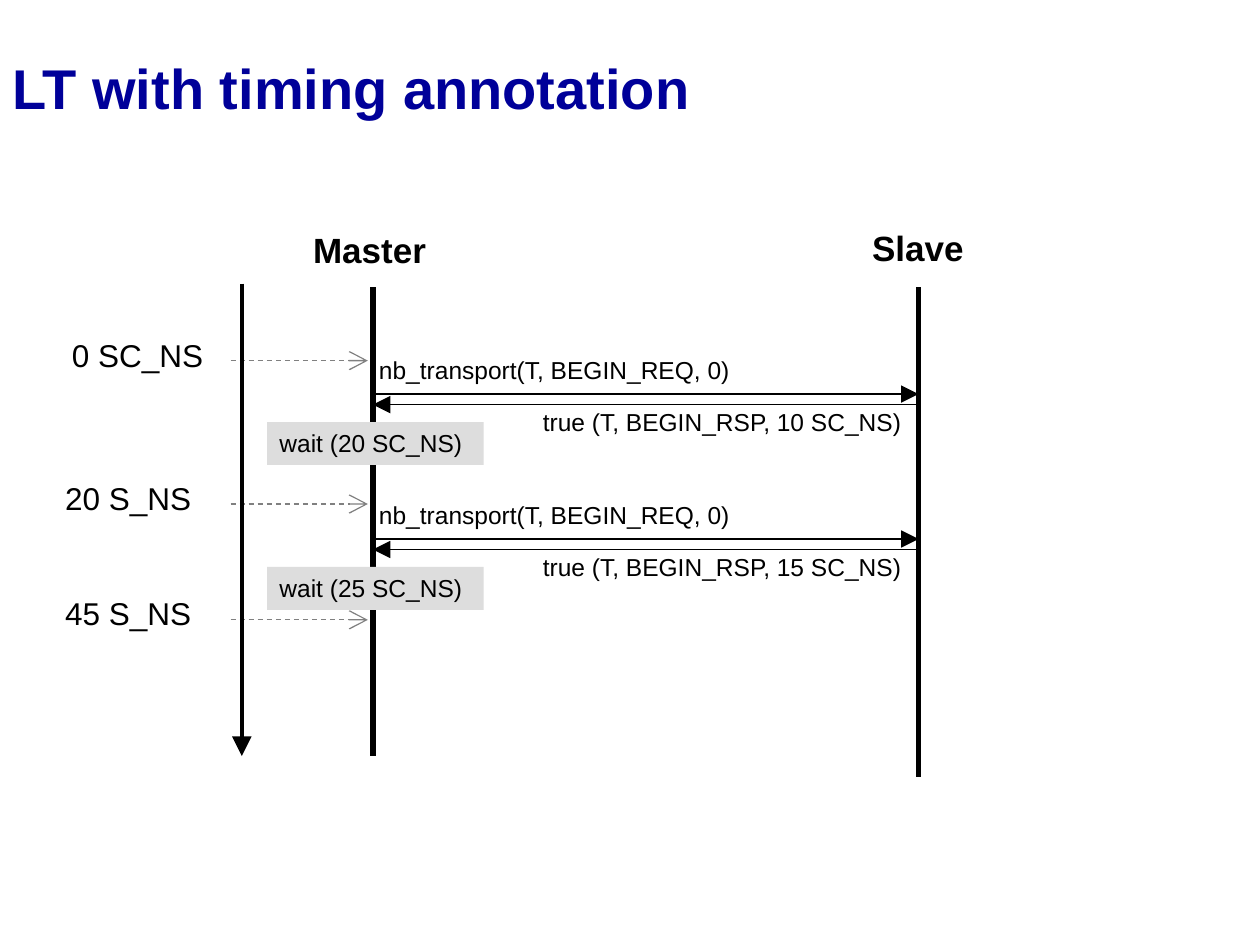
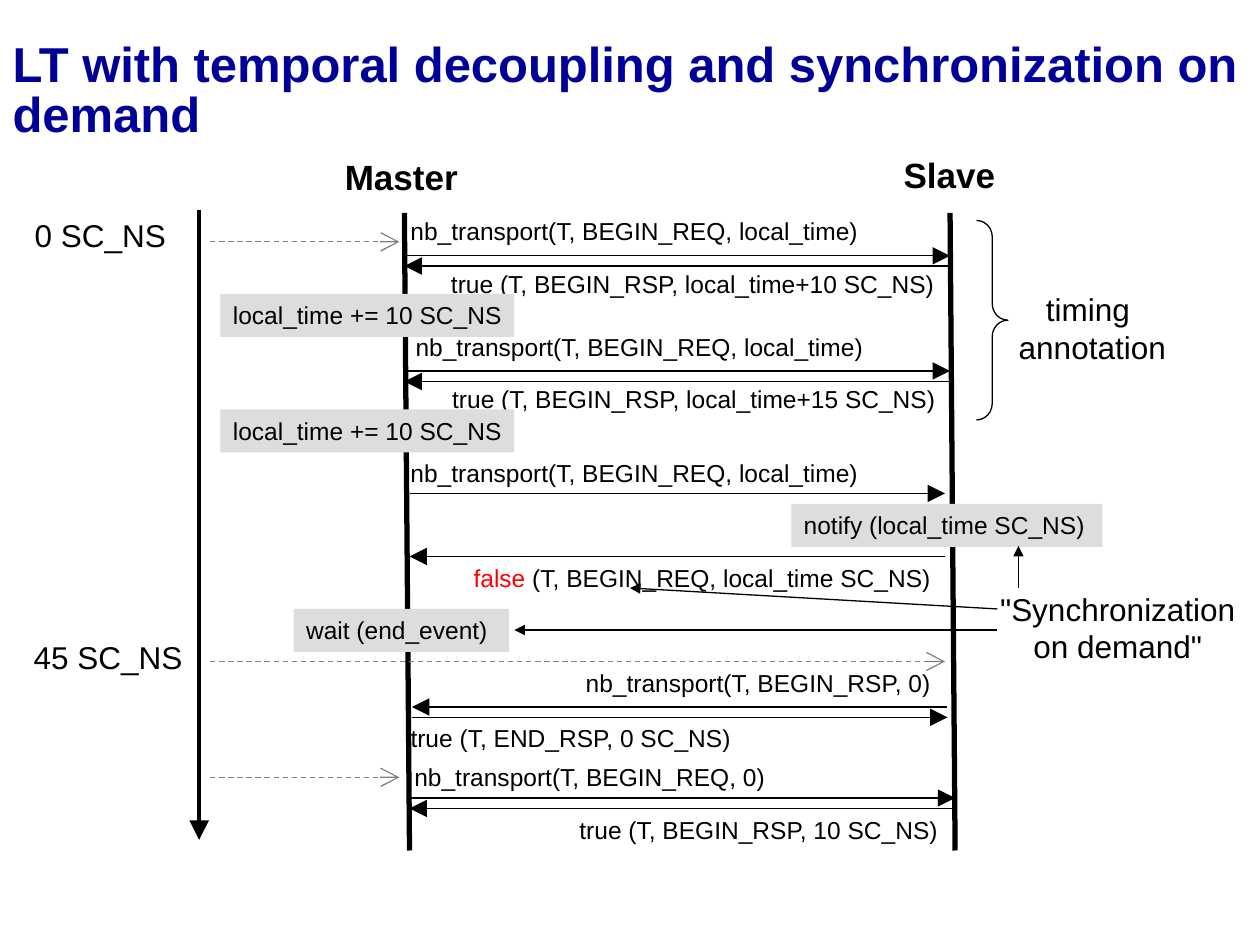
"""Build two sequence diagrams of loosely timed (LT) master-slave communication."""
import dataclasses

import pptx
import pptx.dml.color
import pptx.enum.dml
import pptx.enum.shapes
import pptx.enum.text
import pptx.oxml.ns
import pptx.util
from lxml import etree

Pt = pptx.util.Pt
RGB = pptx.dml.color.RGBColor.from_string
ALIGN = pptx.enum.text.PP_ALIGN
SHAPE = pptx.enum.shapes.MSO_SHAPE


@dataclasses.dataclass(frozen=True)
class Theme:
    font: str = "Arial"
    title: str = "000099"
    ink: str = "000000"
    dashed: str = "808080"
    note: str = "DDDDDD"
    alert: str = "FF0000"
    message_size: int = 14
    label_size: int = 18
    role_size: int = 20
    thin: float = 0.75
    axis: float = 2.25
    lifeline: float = 3


theme = Theme()
HEIGHTS = {theme.message_size: 24.5, theme.label_size: 29, theme.role_size: 31.5}


def add_text(s, x, y, w, paragraphs, size, bold=False, align=ALIGN.LEFT, fill=None, wrap=False):
    """Add a text box, or a filled note, from paragraphs of (text, colour) runs."""
    h = HEIGHTS[size] + (len(paragraphs) - 1) * size * 1.2
    if fill:
        sp = s.shapes.add_shape(SHAPE.RECTANGLE, Pt(x), Pt(y), Pt(w), Pt(h))
        sp.shadow.inherit = False
        sp.fill.solid()
        sp.fill.fore_color.rgb = RGB(fill)
        sp.line.fill.background()
        sp.text_frame.margin_right = 0
    else:
        sp = s.shapes.add_textbox(Pt(x), Pt(y), Pt(w), Pt(h))
    tf = sp.text_frame
    tf.word_wrap = wrap
    tf.vertical_anchor = pptx.enum.text.MSO_ANCHOR.TOP
    for i, runs in enumerate(paragraphs):
        p = tf.add_paragraph() if i else tf.paragraphs[0]
        p.alignment = align
        for text, color in runs:
            r = p.add_run()
            r.text = text
            r.font.name, r.font.size, r.font.bold = theme.font, Pt(size), bold
            r.font.color.rgb = RGB(color)


def add_line(s, x1, y1, x2, y2, width=theme.thin, color=theme.ink, head="triangle", head_size="lg", dash=False):
    """Add a straight line with an optional arrowhead at its end."""
    c = s.shapes.add_connector(pptx.enum.shapes.MSO_CONNECTOR.STRAIGHT, Pt(x1), Pt(y1), Pt(x2), Pt(y2))
    c.line.width = Pt(width)
    c.line.color.rgb = RGB(color)
    if dash:
        c.line.dash_style = pptx.enum.dml.MSO_LINE.DASH
    if head:
        etree.SubElement(c.line._get_or_add_ln(), pptx.oxml.ns.qn("a:tailEnd"),
                         type=head, w=head_size, len=head_size)
    etree.SubElement(c._element.spPr, pptx.oxml.ns.qn("a:effectLst"))


ROUND_TRIP = 82.8
timing = {
    "title": ("LT with timing annotation", 32),
    "lifelines": [(213.1, 164.2, 213.1, 432), (524.9, 164.2, 524.9, 444.2)],
    "roles": [("Master", 169.2, 127.2, 84), ("Slave", 489, 126, 71)],
    "axis": (138.2, 162, 138.2, 432),
    "times": [("0 SC_NS", 34, 188.2, 89.3), ("20 S_NS", 30.2, 270, 86.4), ("45 S_NS", 30.2, 336, 86.4)],
    "marks": [(131.8, y, 210.2) for y in (206.1, 288, 354.2)],
    "messages": [],
    "arrows": [],
    "notes": [],
}
for i, (delay, wait) in enumerate([(10, 20), (15, 25)]):
    dy = i * ROUND_TRIP
    timing["messages"] += [
        ("nb_transport(T, BEGIN_REQ, 0)", 209.5, 199.4 + dy, 216),
        (f"true (T, BEGIN_RSP, {delay} SC_NS)", 303.1, 229 + dy, 222.5),
    ]
    timing["arrows"] += [(213.1, 524.9, 225.2 + dy), (524.9, 213.1, 231.2 + dy)]
    timing["notes"].append((f"wait ({wait} SC_NS)", 152.6, 241.2 + dy, 123.8))

decoupling = {
    "title": ("LT with temporal decoupling and synchronization on demand", 28),
    "lifelines": [(x, 121.7, x + 2.9, 486) for x in (231.1, 542.9)],
    "roles": [("Master", 187.3, 85.2, 84), ("Slave", 507, 84.2, 71)],
    "axis": (113.8, 120, 113.8, 480),
    "times": [("0 SC_NS", 12.7, 120, 89.3), ("45 SC_NS", 12.2, 361.2, 99.4)],
    "marks": [(120.2, 138.2, 228.2), (120.2, 378, 540), (120.2, 444.2, 228.2)],
    "messages": [
        ("nb_transport(T, BEGIN_REQ, local_time)", 227.5, 120.2, 271.4),
        ("true (T, BEGIN_RSP, local_time+10 SC_NS)", 250.6, 150, 293.8),
        ("nb_transport(T, BEGIN_REQ, local_time)", 230.4, 186, 271.4),
        ("true (T, BEGIN_RSP, local_time+15 SC_NS)", 251.3, 216, 293.8),
        ("nb_transport(T, BEGIN_REQ, local_time)", 227.5, 258, 271.4),
        ("nb_transport(T, BEGIN_RSP, 0)", 327.6, 378, 214.6),
        ("true (T, END_RSP, 0 SC_NS)", 227.5, 409.9, 200.9),
        ("nb_transport(T, BEGIN_REQ, 0)", 229.7, 432, 216),
        ("true (T, BEGIN_RSP, 10 SC_NS)", 324, 462.2, 222.5),
    ],
    "arrows": [
        (231.1, 542.9, 146.2), (542.9, 231.1, 152),
        (231.1, 542.9, 212), (542.9, 231.1, 218),
        (234, 540, 282), (540, 234, 318),
        (541.4, 235.4, 404), (235.4, 541.4, 409.9),
        (234, 545.8, 456), (545.8, 234, 462),
    ],
    "notes": [
        ("local_time += 10 SC_NS", 126, 168, 167.8),
        ("local_time += 10 SC_NS", 126, 234, 167.8),
        ("notify (local_time SC_NS)", 452.2, 288, 177.8),
        ("wait (end_event)", 167.8, 348, 123.1),
    ],
}

prs = pptx.Presentation()
prs.slide_width, prs.slide_height = Pt(720), Pt(540)

for diagram in (timing, decoupling):
    s = prs.slides.add_slide(prs.slide_layouts[5])
    title, title_size = diagram["title"]
    sp = s.shapes.title
    sp.left, sp.top, sp.width, sp.height = Pt(0), Pt(21.6), Pt(720), Pt(62.6)
    tf = sp.text_frame
    tf.word_wrap = True
    tf.auto_size = pptx.enum.text.MSO_AUTO_SIZE.NONE
    tf.vertical_anchor = pptx.enum.text.MSO_ANCHOR.MIDDLE
    p = tf.paragraphs[0]
    p.alignment, p.line_spacing = ALIGN.LEFT, 0.85
    r = p.add_run()
    r.text = title
    r.font.name, r.font.size, r.font.bold = theme.font, Pt(title_size), True
    r.font.color.rgb = RGB(theme.title)

    for ends in diagram["lifelines"]:
        add_line(s, *ends, width=theme.lifeline, head=None)
    for text, x, y, w in diagram["roles"]:
        add_text(s, x, y, w, [[(text, theme.ink)]], theme.role_size, bold=True, align=ALIGN.CENTER)
    for text, x, y, w in diagram["times"]:
        add_text(s, x, y, w, [[(text, theme.ink)]], theme.label_size)
    for x1, y, x2 in diagram["marks"]:
        add_line(s, x1, y, x2, y, color=theme.dashed, head="arrow", dash=True)
    add_line(s, *diagram["axis"], width=theme.axis)
    for text, x, y, w in diagram["messages"]:
        add_text(s, x, y, w, [[(text, theme.ink)]], theme.message_size)
    for x1, x2, y in diagram["arrows"]:
        add_line(s, x1, y, x2, y)
    for text, x, y, w in diagram["notes"]:
        add_text(s, x, y, w, [[(text, theme.ink)]], theme.message_size, fill=theme.note, wrap=True)

refusal = [("false", theme.alert), (" (T, BEGIN_REQ, local_time SC_NS)", theme.ink)]
add_text(s, 263.5, 318.2, 277.2, [refusal], theme.message_size)

brace = s.shapes.add_shape(SHAPE.RIGHT_BRACE, Pt(558), Pt(126), Pt(18), Pt(114))
brace.shadow.inherit = False
brace.fill.background()
brace.line.color.rgb = RGB(theme.ink)
brace.line.width = Pt(theme.thin)
brace.adjustments[0] = 0.52
add_text(s, 570.2, 162, 108, [[("timing ", theme.ink)], [("annotation", theme.ink)]],
         theme.label_size, align=ALIGN.CENTER, wrap=True)

add_text(s, 563.8, 333.4, 149.8, [[('"Synchronization on demand"', theme.ink)]],
         theme.label_size, align=ALIGN.CENTER, wrap=True)
for ends in [(582, 336, 582, 312), (570, 348, 360, 336), (570, 360, 294, 360)]:
    add_line(s, *ends, head_size="med")

prs.save("out.pptx")
